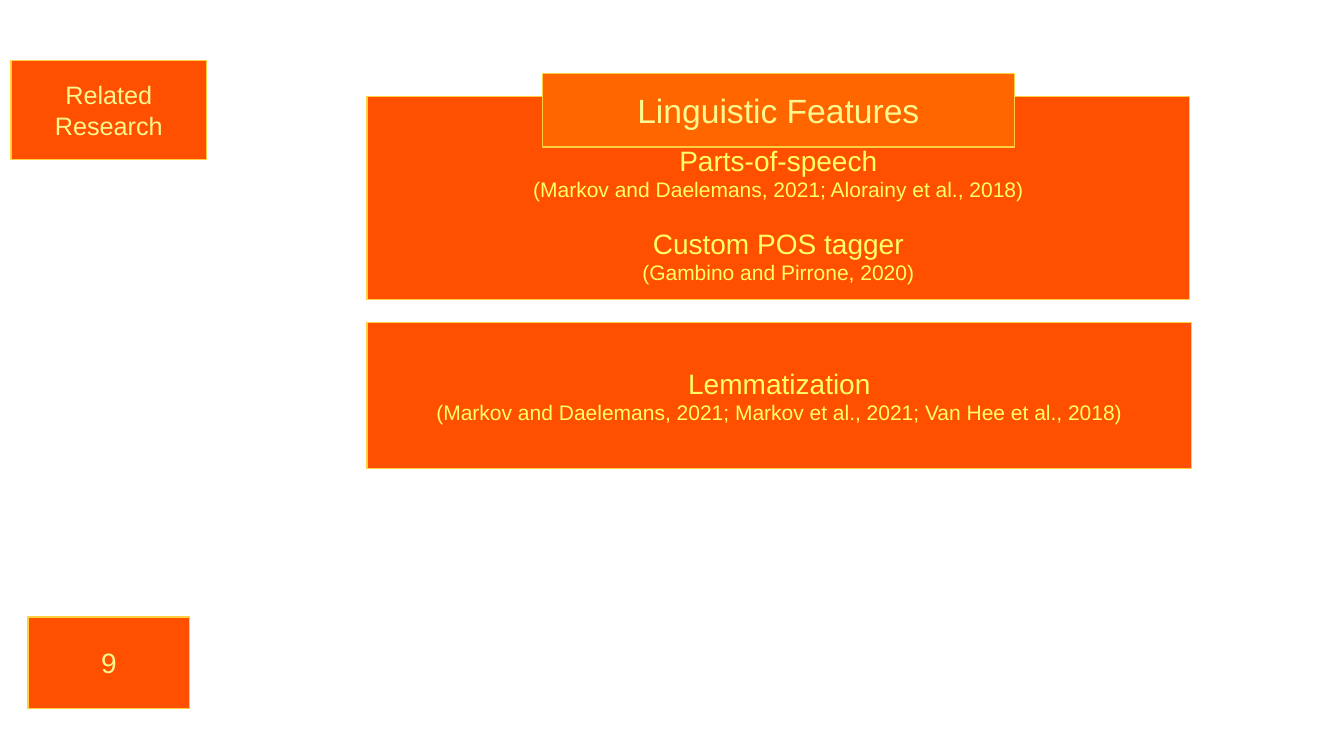
from pptx import Presentation
from pptx.dml.color import RGBColor
from pptx.enum.shapes import MSO_SHAPE
from pptx.enum.text import MSO_ANCHOR, MSO_AUTO_SIZE, PP_ALIGN
from pptx.util import Inches, Pt

COLORS = {"box": "FF5001", "title": "FF6600", "line": "FFD13F",
          "label": "FCF78F", "topic": "FFFF66"}
TOPIC, CITATION = 20, 15  # text sizes in points
GAP = 17.25  # points between two topics

TITLE = ("Linguistic Features", 24)
TITLE_AT = (5.38, 0.73, 4.68, 0.73)
TITLE_CLEARANCE = 0.37  # top inset of the card that the title overlaps

# place, [(text, size)]
LABELS = [
    ((0.28, 6.12, 1.6, 0.91), [("9", 20)]),
    ((0.11, 0.6, 1.94, 0.98), [("Related Research", 18)]),
]
# place, top inset, [(topic, citation)]
CARDS = [
    ((3.64, 0.96, 8.16, 2.01), TITLE_CLEARANCE, [
        ("Parts-of-speech", "(Markov and Daelemans, 2021; Alorainy et al., 2018)"),
        ("Custom POS tagger", "(Gambino and Pirrone, 2020)"),
    ]),
    ((3.64, 3.2, 8.18, 1.45), 0.05, [
        ("Lemmatization",
         "(Markov and Daelemans, 2021; Markov et al., 2021; Van Hee et al., 2018)"),
    ]),
]


def color(name):
    return RGBColor.from_string(COLORS[name])


def style_box(sp, at, lines, fill, font_color, top=0.05):
    """Place and colour a box, then write its (text, size) lines."""
    sp.left, sp.top, sp.width, sp.height = map(Inches, at)
    sp.fill.solid()
    sp.fill.fore_color.rgb = color(fill)
    sp.line.color.rgb = color("line")
    sp.line.width = Pt(1)
    sp.shadow.inherit = False
    tf = sp.text_frame
    frame = {"word_wrap": True, "auto_size": MSO_AUTO_SIZE.NONE,
             "vertical_anchor": MSO_ANCHOR.MIDDLE, "margin_top": Inches(top)}
    for key, value in frame.items():
        setattr(tf, key, value)
    for i, (text, size) in enumerate(lines):
        p = tf.add_paragraph() if i else tf.paragraphs[0]
        p.alignment = PP_ALIGN.CENTER
        if i and size == TOPIC:
            p.space_before = Pt(GAP)
        r = p.add_run()
        r.text = text
        for key, value in {"name": "Arial", "size": Pt(size)}.items():
            setattr(r.font, key, value)
        r.font.color.rgb = color(font_color)


def add_box(s, at, *style):
    sp = s.shapes.add_shape(MSO_SHAPE.RECTANGLE, *map(Inches, at))
    style_box(sp, at, *style)
    return sp


def main():
    prs = Presentation()
    prs.slide_width, prs.slide_height = Inches(13.33), Inches(7.5)
    s = prs.slides.add_slide(prs.slide_layouts[5])

    for at, lines in LABELS:
        add_box(s, at, lines, "box", "label")
    for at, top, topics in CARDS:
        lines = [line for topic, citation in topics
                 for line in ((topic, TOPIC), (citation, CITATION))]
        card = add_box(s, at, lines, "box", "topic", top)

    title = s.shapes.title
    style_box(title, TITLE_AT, [TITLE], "title", "label")
    card.element.addnext(title.element)  # bring the title to the front

    prs.save("out.pptx")


if __name__ == "__main__":
    main()
